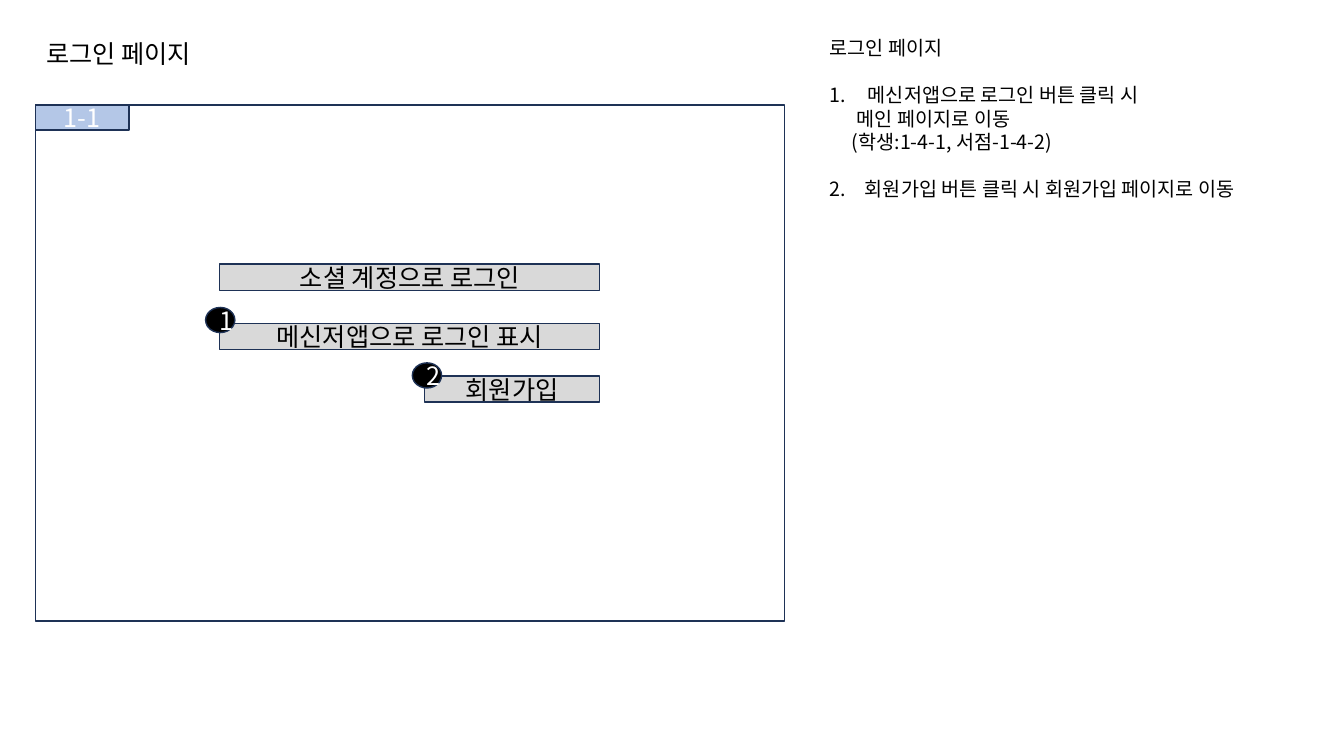
from lxml import etree
from pptx import Presentation
from pptx.dml.color import RGBColor
from pptx.enum.shapes import MSO_SHAPE
from pptx.enum.text import MSO_ANCHOR, MSO_AUTO_SIZE, PP_ALIGN
from pptx.oxml.ns import qn
from pptx.util import Inches, Pt

RECTANGLE, OVAL = MSO_SHAPE.RECTANGLE, MSO_SHAPE.OVAL
TOP, MIDDLE = MSO_ANCHOR.TOP, MSO_ANCHOR.MIDDLE
LEFT, CENTER = PP_ALIGN.LEFT, PP_ALIGN.CENTER
FONT = "Noto Sans CJK KR"
LINE_FACTOR = 1.2
COLORS = {"black": "000000", "white": "FFFFFF", "outline": "1E3256",
          "badge": "B4C7E7", "button": "D9D9D9"}

deck = Presentation()
deck.slide_width, deck.slide_height = Inches(13.33), Inches(7.5)
page = deck.slides.add_slide(deck.slide_layouts[5])


def place(left, top, width, height):
    across, down = deck.slide_width / 100, deck.slide_height / 100
    return int(left * across), int(top * down), int(width * across), int(height * down)


def write(para, text, size=18, color="black", align=LEFT, gap=0, indent=0, number=None):
    para.alignment = align
    para.line_spacing = Pt(size * LINE_FACTOR)
    para.space_before = Pt(gap)
    span = para.add_run()
    span.text = text
    span.font.size = Pt(size)
    span.font.color.rgb = RGBColor.from_string(COLORS[color])
    span.font.name = FONT
    etree.SubElement(span._r.get_or_add_rPr(), qn("a:ea"), typeface=FONT)
    properties = para._p.get_or_add_pPr()
    properties.set("marL", str(Inches(indent)))
    properties.set("indent", str(-Inches(indent) if number else 0))
    if number:
        etree.SubElement(properties, qn("a:buAutoNum"), type="arabicPeriod", startAt=str(number))


title = page.shapes.title
title.left, title.top, title.width, title.height = place(2.7, 4.4, 32.56, 5.33)
title.text_frame.auto_size = MSO_AUTO_SIZE.NONE
title.text_frame.vertical_anchor = TOP
write(title.text_frame.paragraphs[0], "로그인 페이지")

frame_left, frame_top = 2.63, 13.87
button_left, button_right, button_height = 16.35, 44.63, 3.47
signup_left = 31.58
marker_width, marker_height = 2.18, 3.33
wide = button_right - button_left
narrow = button_right - signup_left

parts = [
    (RECTANGLE, (frame_left, frame_top, 55.74, 68.27), "white", "", "black"),
    (RECTANGLE, (frame_left, frame_top, 6.98, 3.33), "badge", "1-1", "white"),
    (RECTANGLE, (button_left, 34.93, wide, button_height), "button", "소셜 계정으로 로그인", "black"),
    (RECTANGLE, (button_left, 42.8, wide, button_height), "button", "메신저앱으로 로그인 표시", "black"),
    (OVAL, (15.3, 40.67, marker_width, marker_height), "black", "1", "white"),
    (RECTANGLE, (signup_left, 49.73, narrow, button_height), "button", "회원가입", "black"),
    (OVAL, (30.68, 48, marker_width, marker_height), "black", "2", "white"),
]
for kind, area, fill, text, color in parts:
    box = page.shapes.add_shape(kind, *place(*area))
    box.shadow.inherit = False
    box.fill.solid()
    box.fill.fore_color.rgb = RGBColor.from_string(COLORS[fill])
    box.line.color.rgb = RGBColor.from_string(COLORS["outline"])
    box.line.width = Pt(1)
    if text:
        box.text_frame.vertical_anchor = MIDDLE
        write(box.text_frame.paragraphs[0], text, color=color, align=CENTER)

notes = page.shapes.add_textbox(*place(60.99, 4.13, 38.11, 23.33)).text_frame
notes.word_wrap = True
note_size = 14
blank_line = note_size * LINE_FACTOR
note_lines = [
    ("로그인 페이지", {}),
    ("메신저앱으로 로그인 버튼 클릭 시", {"gap": blank_line, "indent": 0.38, "number": 1}),
    ("메인 페이지로 이동", {"indent": 0.27}),
    ("(학생:1-4-1, 서점-1-4-2)", {"indent": 0.22}),
    ("회원가입 버튼 클릭 시 회원가입 페이지로 이동", {"gap": blank_line, "indent": 0.35, "number": 2}),
]
for index, (text, style) in enumerate(note_lines):
    para = notes.add_paragraph() if index else notes.paragraphs[0]
    write(para, text, size=note_size, **style)

deck.save("out.pptx")
